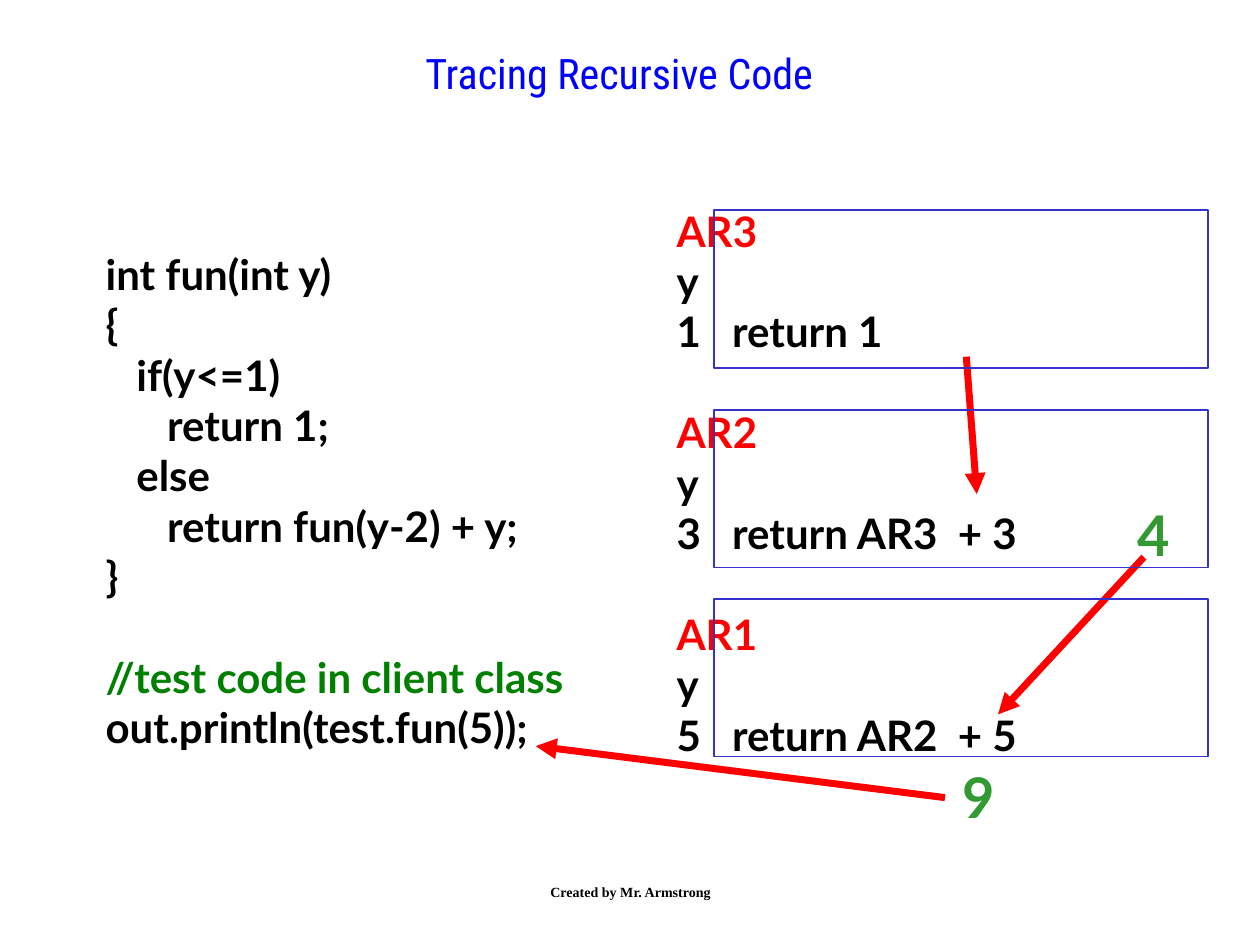
from lxml import etree
from pptx import Presentation
from pptx.dml.color import RGBColor
from pptx.enum.shapes import MSO_CONNECTOR, MSO_SHAPE
from pptx.enum.text import MSO_ANCHOR, PP_ALIGN
from pptx.oxml.ns import qn
from pptx.util import Cm, Pt

CENTER, LEFT = PP_ALIGN.CENTER, PP_ALIGN.LEFT
TOP, MIDDLE = MSO_ANCHOR.TOP, MSO_ANCHOR.MIDDLE
STRAIGHT, RECTANGLE = MSO_CONNECTOR.STRAIGHT, MSO_SHAPE.RECTANGLE

COLORS = {"title": "0000FF", "text": "000000", "comment": "008000",
          "record": "FF0000", "result": "339933", "arrow": "FF0000",
          "frame": "3333CC"}
BODY_FONT = "Lato"
BLANK_LINE = 28.8  # points, one line of 24 pt body text

# Code lines: text, indent level, colour, space before in points
CODE = [
    ("int fun(int y)", 0, "text", 0),
    ("{", 0, "text", 0),
    ("if(y<=1)", 1, "text", 0),
    ("return 1;", 2, "text", 0),
    ("else", 1, "text", 0),
    ("return fun(y-2) + y;", 2, "text", 0),
    ("}", 0, "text", 0),
    ("//test code in client class", 0, "comment", BLANK_LINE),
    ("out.println(test.fun(5));", 0, "text", 0),
]
# Activation records: name, value of y and what is returned
RECORDS = [("AR3", "1\treturn 1"),
           ("AR2", "3\treturn AR3\t+ 3"),
           ("AR1", "5\treturn AR2\t+ 5")]
RECORD_TABS = (1.12, 5.67)
INDENT_STEP = 0.62

# Positions in cm
TITLE_BOX = (1.27, 0.84, 22.43, 2.54)
CODE_BOX = (1.88, 4.88, 10.97, 10.41)
RECORDS_BOX = (13.39, 4.01, 10.41, 12.93)
FOOTER_BOX = (8.69, 17.35, 8.05, 1.27)
RESULTS = [("4", 22.68, 9.96), ("9", 19.15, 15.24)]
RESULT_SIZE = (1.14, 1.63)
ARROWS = [((23.06, 11.23), (20.12, 14.4)),
          ((19.48, 7.19), (19.69, 9.96)),
          ((19.05, 16.08), (10.8, 15.04))]
FRAME_LEFT, FRAME_WIDTH, FRAME_HEIGHT = 14.4, 9.96, 3.18
FRAME_TOPS = (4.24, 8.26, 12.07)


def rgb(name):
    return RGBColor.from_string(COLORS[name])


def add_text(slide, box, lines, size=24, font=BODY_FONT, bold=True,
             align=LEFT, anchor=TOP, tabs=()):
    """Add a text box of (text, indent level, colour, space before) lines."""
    frame = slide.shapes.add_textbox(*map(Cm, box)).text_frame
    frame.word_wrap = True
    frame.vertical_anchor = anchor
    for number, (text, level, color, space) in enumerate(lines):
        paragraph = frame.add_paragraph() if number else frame.paragraphs[0]
        paragraph.alignment = align
        paragraph.space_before = Pt(space)
        properties = paragraph._p.get_or_add_pPr()
        properties.set("marL", str(Cm(level * INDENT_STEP)))
        if tabs:
            stops = etree.SubElement(properties, qn("a:tabLst"))
            for position in tabs:
                etree.SubElement(stops, qn("a:tab"), pos=str(Cm(position)), algn="l")
        run = paragraph.add_run()
        run.text = text
        run.font.name = font
        run.font.size = Pt(size)
        run.font.bold = bold
        run.font.color.rgb = rgb(color)


def add_arrow(slide, start, end):
    arrow = slide.shapes.add_connector(STRAIGHT, *map(Cm, start + end))
    arrow.line.color.rgb = rgb("arrow")
    arrow.line.width = Pt(4)
    etree.SubElement(arrow.line._get_or_add_ln(), qn("a:tailEnd"), type="triangle")
    etree.SubElement(arrow._element.spPr, qn("a:effectLst"))


def add_frame(slide, top):
    box = (FRAME_LEFT, top, FRAME_WIDTH, FRAME_HEIGHT)
    frame = slide.shapes.add_shape(RECTANGLE, *map(Cm, box))
    frame.shadow.inherit = False
    frame.fill.background()
    frame.line.color.rgb = rgb("frame")
    frame.line.width = Pt(1)


def main():
    deck = Presentation()
    deck.slide_width, deck.slide_height = Cm(25.4), Cm(19.05)
    slide = deck.slides.add_slide(deck.slide_layouts[6])

    add_text(slide, TITLE_BOX, [("Tracing Recursive Code", 0, "title", 0)],
             font="Roboto Condensed", bold=False, align=CENTER)
    add_text(slide, CODE_BOX, CODE)

    record_lines = []
    for number, (name, returned) in enumerate(RECORDS):
        record_lines += [(name, 0, "record", BLANK_LINE if number else 0),
                         ("y", 0, "text", 0),
                         (returned, 0, "text", 0)]
    add_text(slide, RECORDS_BOX, record_lines, tabs=RECORD_TABS)

    for start, end in ARROWS:
        add_arrow(slide, start, end)
    for value, left, top in RESULTS:
        add_text(slide, (left, top, *RESULT_SIZE), [(value, 0, "result", 0)], size=32)
    for top in FRAME_TOPS:
        add_frame(slide, top)

    add_text(slide, FOOTER_BOX, [("Created by Mr. Armstrong", 0, "text", 0)],
             size=8, font="Times New Roman", align=CENTER, anchor=MIDDLE)
    deck.save("out.pptx")


if __name__ == "__main__":
    main()
